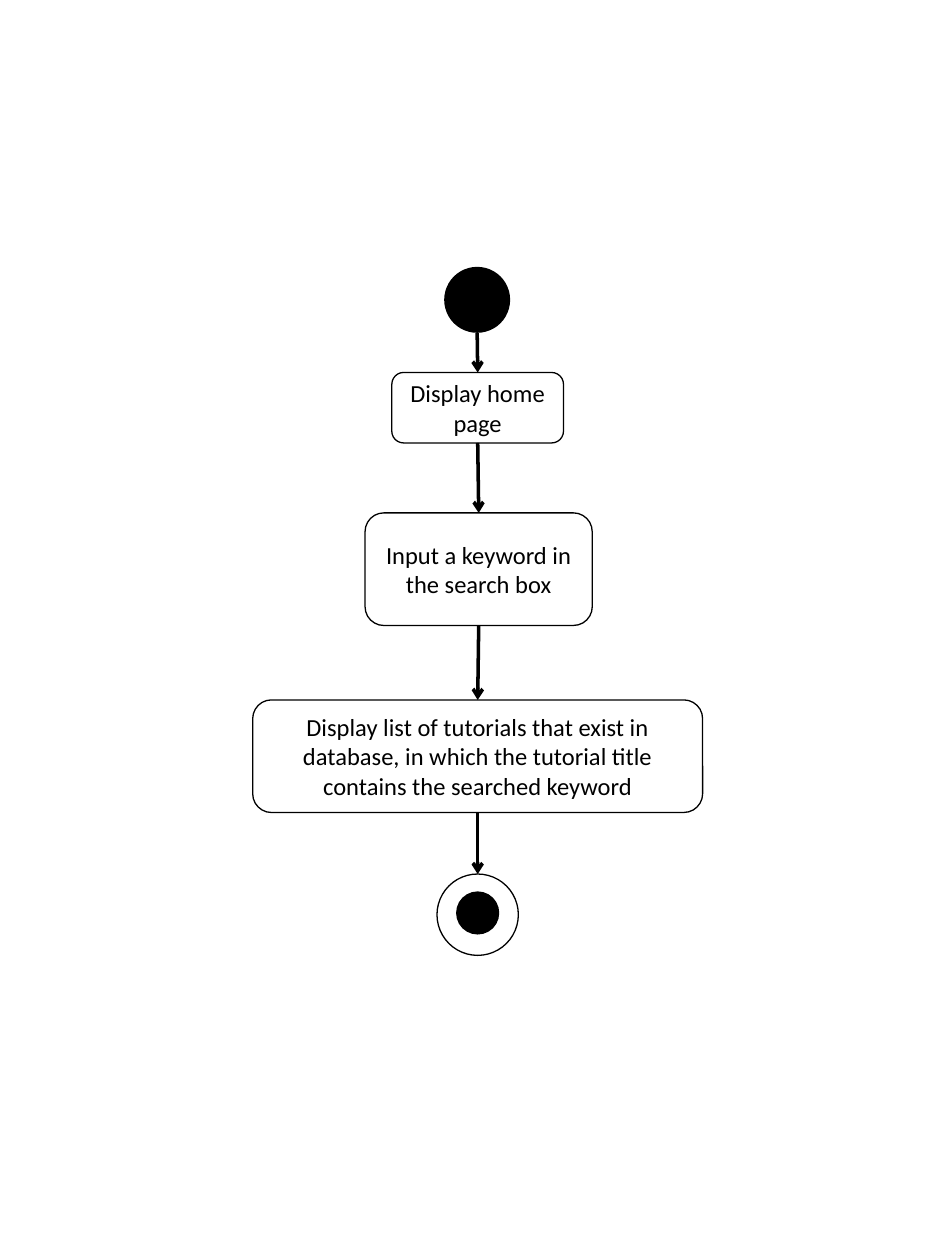
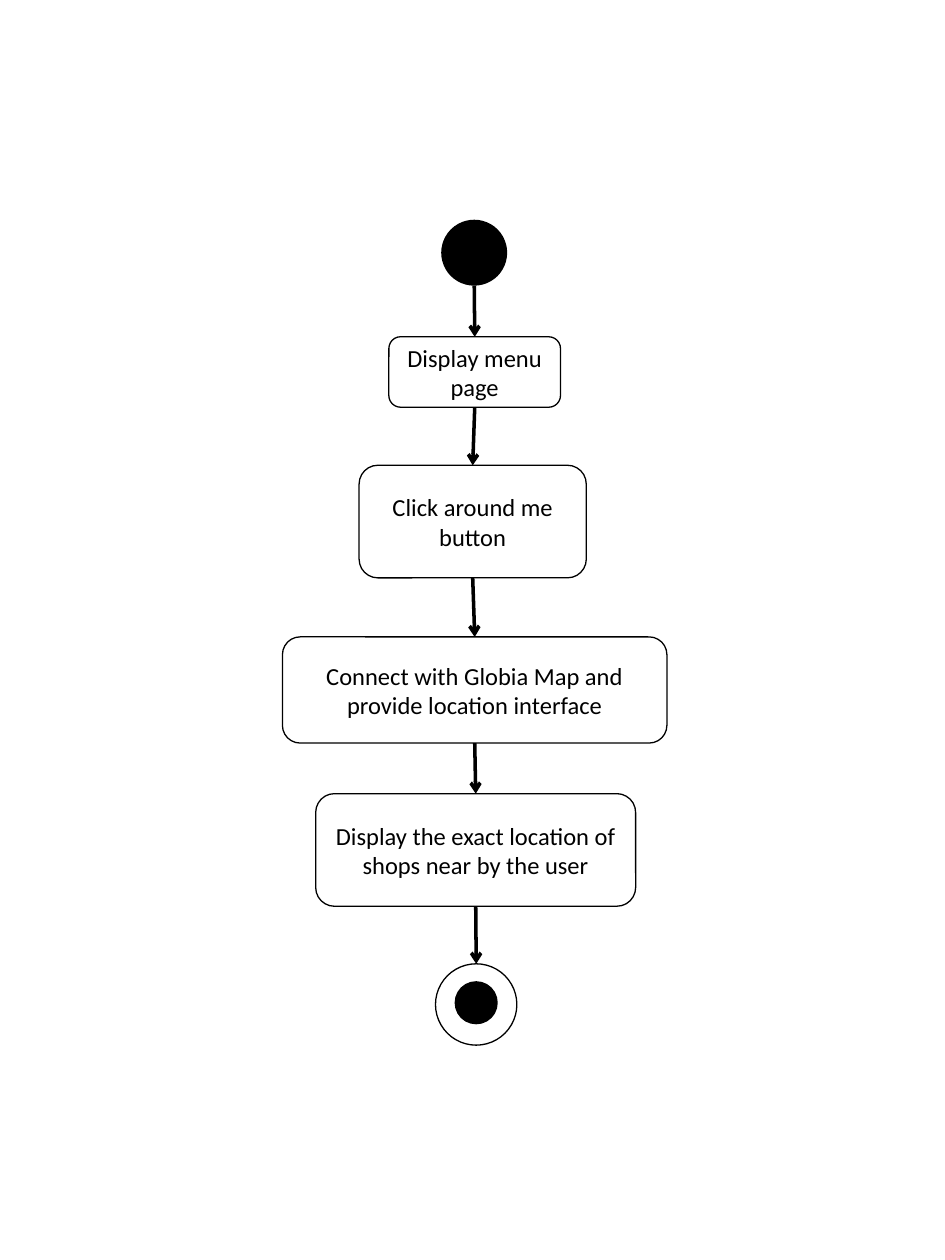
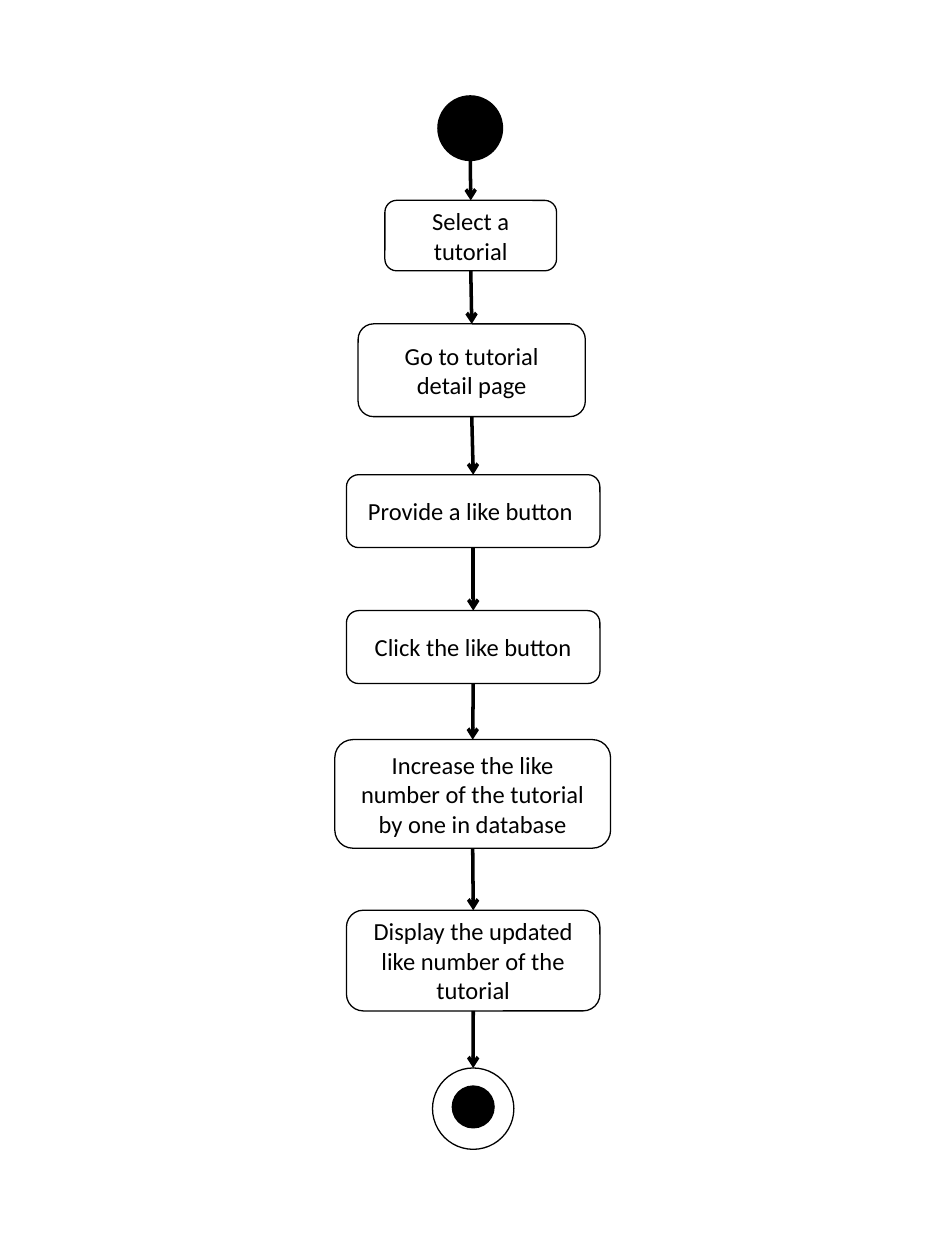
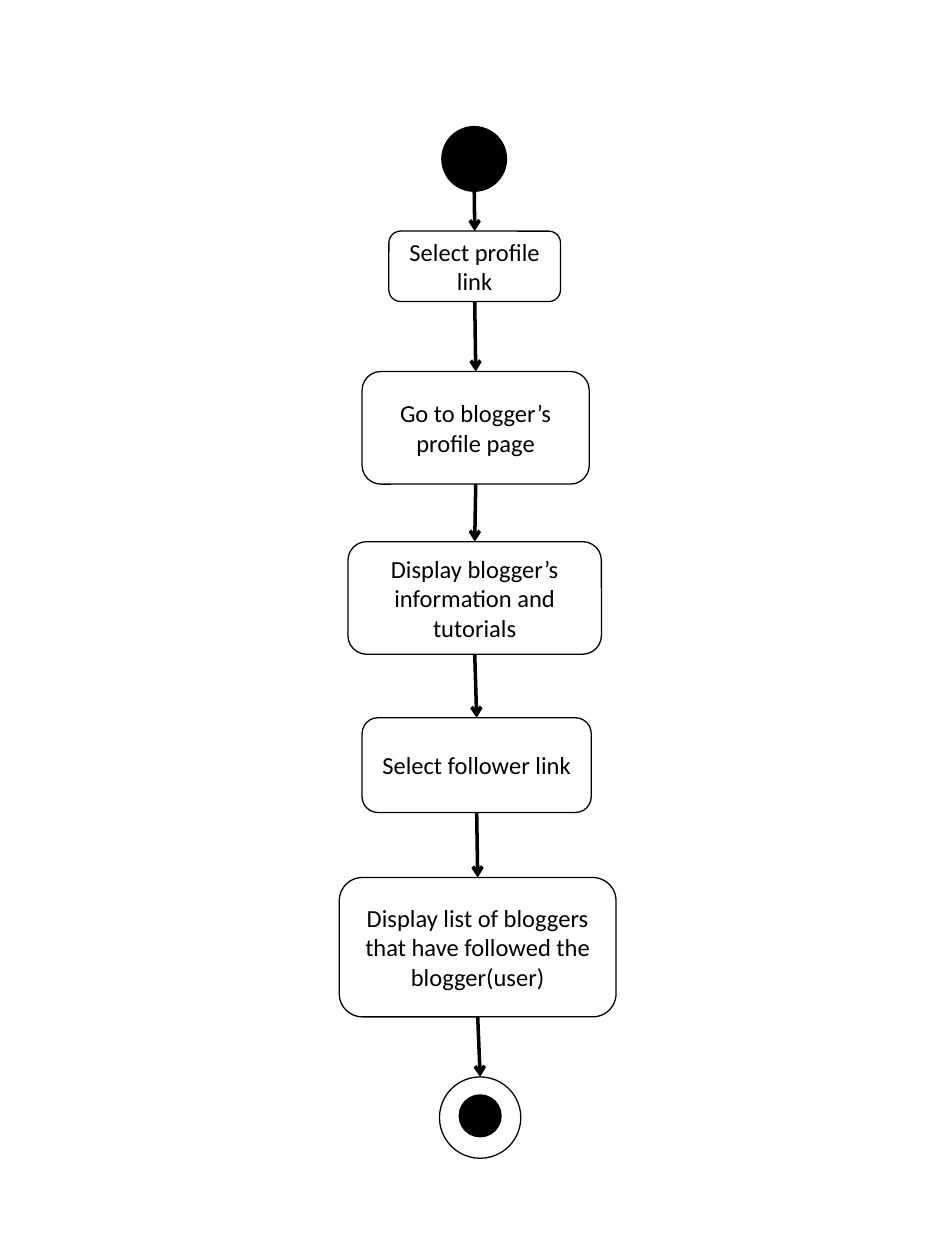
"""Build four activity diagrams, one per slide."""
from dataclasses import dataclass

from lxml.etree import SubElement
from pptx import Presentation
from pptx.dml.color import RGBColor
from pptx.enum.shapes import MSO_CONNECTOR as Connector, MSO_SHAPE as Shape
from pptx.enum.text import MSO_ANCHOR as Anchor, PP_ALIGN as Align
from pptx.oxml.ns import qn
from pptx.util import Cm, Pt

INK, PAPER = "000000", "FFFFFF"
FONT, TEXT_SIZE = "Calibri", 14
OUTLINE, ARROW = 0.75, 2
START_SIZE, RING_SIZE, CORE_SIZE = 1.33, 1.64, 0.87
CORE_DROP = 0.35
SMALL, MEDIUM, WIDE = (3.46, 1.42), (4.58, 2.27), (5.11, 2.27)


@dataclass
class Node:
    """The start or end of a flow: middle and top, in centimetres."""
    middle: float
    top: float


@dataclass
class Step:
    """A box of a flow: wording, middle, top and (width, height)."""
    wording: str
    middle: float
    top: float
    size: tuple


FLOWS = [
    (Node(9.62, 5.38), [
        Step("Display home page", 9.63, 7.51, SMALL),
        Step("Input a keyword in the search box", 9.65, 10.34, MEDIUM),
        Step("Display list of tutorials that exist in database, in which "
             "the tutorial title contains the searched keyword",
             9.63, 14.11, (9.07, 2.27)),
    ], Node(9.63, 17.62)),
    (Node(9.56, 4.43), [
        Step("Display menu page", 9.57, 6.79, SMALL),
        Step("Click around me button", 9.53, 9.38, MEDIUM),
        Step("Connect with Globia Map and provide location interface",
             9.57, 12.84, (7.75, 2.14)),
        Step("Display the exact location of shops near by the user",
             9.59, 16, (6.45, 2.27)),
    ], Node(9.6, 19.43)),
    (Node(9.48, 1.92), [
        Step("Select a tutorial", 9.49, 4.04, SMALL),
        Step("Go to tutorial detail page", 9.51, 6.53, (4.58, 1.87)),
        Step("Provide a like button ", 9.54, 9.57, (5.11, 1.47)),
        Step("Click the like button", 9.54, 12.31, (5.11, 1.47)),
        Step("Increase the like number of the tutorial by one in database",
             9.53, 14.91, (5.56, 2.19)),
        Step("Display the updated like number of the tutorial",
             9.54, 18.35, (5.11, 2.03)),
    ], Node(9.54, 21.53)),
    (Node(9.56, 2.54), [
        Step("Select profile link", 9.57, 4.66, SMALL),
        Step("Go to blogger’s profile page", 9.59, 7.49, MEDIUM),
        Step("Display blogger’s information and tutorials",
             9.57, 10.92, WIDE),
        Step("Select follower link", 9.61, 14.47, (4.62, 1.91)),
        Step("Display list of bloggers that have followed the blogger(user)",
             9.63, 17.69, (5.58, 2.81)),
    ], Node(9.68, 21.71)),
]


def color(value):
    """Turn a hex string into a colour."""
    return RGBColor.from_string(value)


def write(shape, wording, size=TEXT_SIZE, ink=INK, align=Align.CENTER):
    """Put formatted wording in a shape."""
    frame = shape.text_frame
    frame.word_wrap = True
    frame.vertical_anchor = Anchor.MIDDLE
    paragraph = frame.paragraphs[0]
    paragraph.alignment = align
    run = paragraph.add_run()
    run.text = wording
    run.font.name = FONT
    run.font.size = Pt(size)
    run.font.color.rgb = color(ink)


def add_figure(slide, kind, middle, top, size, fill=PAPER, outlined=True):
    """Draw a shape centred on a vertical axis."""
    width, height = size
    figure = slide.shapes.add_shape(
        kind, Cm(middle - width / 2), Cm(top), Cm(width), Cm(height))
    figure.shadow.inherit = False
    figure.fill.solid()
    figure.fill.fore_color.rgb = color(fill)
    if outlined:
        figure.line.color.rgb = color(INK)
        figure.line.width = Pt(OUTLINE)
    else:
        figure.line.fill.background()
    return figure


def add_dot(slide, middle, top, diameter):
    """Draw a solid disc."""
    return add_figure(slide, Shape.OVAL, middle, top, (diameter, diameter),
                      fill=INK, outlined=False)


def add_end(slide, node):
    """Draw the ringed disc that closes a flow and return the ring."""
    ring = add_figure(slide, Shape.OVAL, node.middle, node.top,
                      (RING_SIZE, RING_SIZE))
    add_dot(slide, node.middle, node.top + CORE_DROP, CORE_SIZE)
    return ring


def add_step(slide, step):
    """Draw one rounded box with its wording."""
    box = add_figure(slide, Shape.ROUNDED_RECTANGLE, step.middle, step.top,
                     step.size)
    write(box, step.wording)
    return box


def add_arrow(slide, source, target):
    """Point an arrow from the foot of one figure to the top of the next."""
    arrow = slide.shapes.add_connector(
        Connector.STRAIGHT,
        source.left + source.width // 2, source.top + source.height,
        target.left + target.width // 2, target.top)
    if source.auto_shape_type == Shape.ROUNDED_RECTANGLE:
        arrow.begin_connect(source, 2)
    arrow.end_connect(target, 0)
    arrow.line.color.rgb = color(INK)
    arrow.line.width = Pt(ARROW)
    SubElement(arrow.line._get_or_add_ln(), qn("a:tailEnd"), type="arrow")
    SubElement(arrow._element.spPr, qn("a:effectLst"))


def add_flow(deck, start, steps, end):
    """Draw a whole activity diagram on a new slide."""
    slide = deck.slides.add_slide(deck.slide_layouts[6])
    figures = [add_dot(slide, start.middle, start.top, START_SIZE)]
    figures += [add_step(slide, step) for step in steps]
    figures.append(add_end(slide, end))
    for source, target in zip(figures, figures[1:]):
        add_arrow(slide, source, target)


def main():
    """Build and save the deck."""
    deck = Presentation()
    deck.slide_width, deck.slide_height = Cm(19.05), Cm(25.4)
    for start, steps, end in FLOWS:
        add_flow(deck, start, steps, end)
    deck.save("out.pptx")


main()
